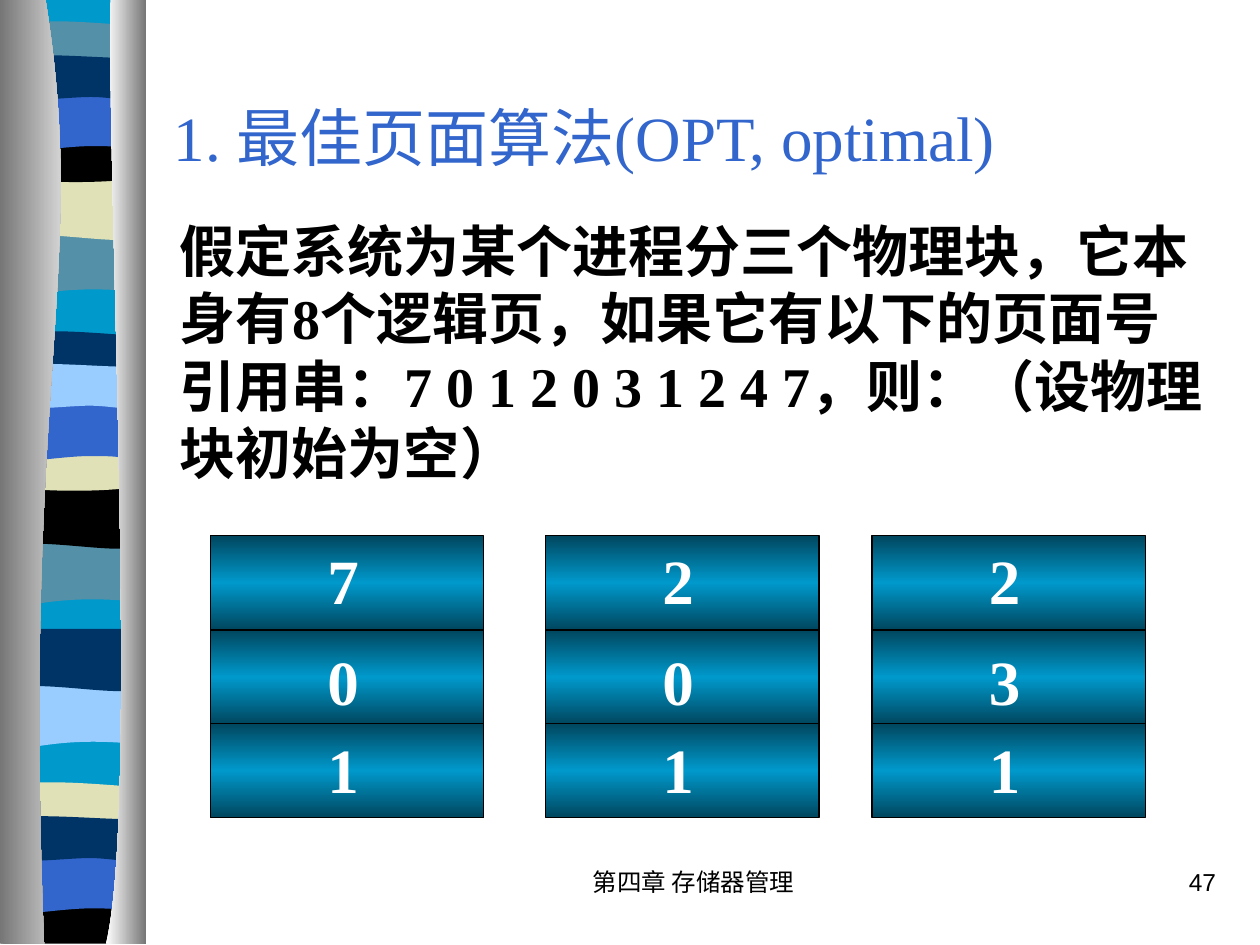
from copy import deepcopy

from lxml.etree import SubElement
from pptx import Presentation
from pptx.dml.color import RGBColor
from pptx.enum.shapes import MSO_SHAPE as SHAPE
from pptx.enum.text import MSO_ANCHOR as ANCHOR, PP_ALIGN as ALIGN
from pptx.oxml.ns import qn
from pptx.util import Inches, Pt

COLORS = {
    "cyan": "0099CC", "teal": "5490A8", "cream": "E1E1B7", "black": "000000",
    "blue": "3366CC", "navy": "003366", "sky": "99CCFF", "white": "FFFFFF",
    "gray": "767676", "deep": "00465E",
}
SERIF = "Times New Roman"
BAND_W = 1.08

# Outlines of the stripes, relative to their left end and top line.
# A segment of one point is a line, a segment of three a Bézier curve.
FLAT_TOP = [[(0, 0)], [(BAND_W, 0)]]
WAVES = [
    [[(BAND_W, 0.47)], [(0.33, 0.39), (0.18, 0.55), (0, 0.47)], *FLAT_TOP],
    [[(BAND_W, 0.47)], [(0.9, 0.55), (0.33, 0.41), (0, 0.47)], *FLAT_TOP],
    [[(BAND_W, 0.24)], [(0.9, 0.28), (0.18, 0.28), (0, 0.24)], [(0, 0)],
     [(0.06, -0.05), (0.23, -0.04), (0.41, -0.04)],
     [(0.59, -0.04), (0.94, -0.01), (BAND_W, 0)]],
    [[(BAND_W, 0.32)], [(0.9, 0.38), (0.18, 0.38), (0, 0.32)], [(0, 0)],
     [(0.66, 0.05), (0.85, 0), (BAND_W, 0)]],
    [[(BAND_W, 0.47)], [(0.91, 0.42), (0.84, 0.42), (0.66, 0.42)],
     [(0.48, 0.42), (0.16, 0.47), (0, 0.47)], *FLAT_TOP],
    [[(BAND_W, 0.31)], [(1.01, 0.36), (0.84, 0.31), (0.66, 0.31)],
     [(0.48, 0.31), (0.11, 0.36), (0, 0.31)], [(0, 0)],
     [(0.15, -0.05), (0.73, 0), (0.91, 0)], [(1.09, 0), (1.04, 0), (BAND_W, 0)]],
]
# The lowest stripe ends flat at the foot of the slide
FOOT_WAVE = [[(BAND_W, 0.37)], [(0.01, 0.37)], [(0, 0)],
             [(0.66, 0.05), (0.85, 0), (BAND_W, 0)]]
# Each set uses its waves in order: (left, top, colour)
STRIPE_SETS = [
    (WAVES, [(0.06, 1.85, "teal"), (0.06, 1.41, "cream"), (0.06, 0.21, "teal"),
             (0.06, 1.08, "black"), (0.06, 0.74, "blue"), (0.06, 0.46, "navy")]),
    (WAVES, [(0.05, 4.31, "teal"), (0.05, 3.86, "black"), (0.05, 2.67, "navy"),
             (0.05, 3.53, "cream"), (0.05, 3.2, "blue"), (0.05, 2.91, "sky")]),
    (WAVES[:3] + [FOOT_WAVE] + WAVES[4:],
     [(0.06, 5.44, "sky"), (0.06, 4.99, "navy"), (0.05, 6.25, "cream"),
      (0.05, 7.12, "black"), (0.05, 6.79, "blue"), (0.05, 6.5, "navy")]),
]
LEFT_CURTAIN = [[(0.71, 2.16), (0.17, 2.96), (0.35, 7.49)], [(0, 7.49)], [(0, -0.01)]]
RIGHT_CURTAIN = [[(0.84, 1.25), (1.11, 6.46), (0.84, 7.49)], [(1.16, 7.49)], [(1.16, 0)]]

# Page frames: left edge and the pages they hold
FRAMES = [(1.67, "701"), (4.33, "201"), (6.92, "231")]
CELL_TOPS = [4.25, 5, 5.74]
DIGIT_TOPS = [4.25, 5.05, 5.75]


def rgb(name):
    return RGBColor.from_string(COLORS[name])


def set_gradient(sp, names, angle):
    """Spread the named colours evenly over a linear gradient."""
    sp.fill.gradient()
    sp.fill.gradient_angle = angle
    stop_list = sp.element.spPr.find(qn("a:gradFill")).find(qn("a:gsLst"))
    while len(stop_list) < len(names):
        stop_list.append(deepcopy(stop_list[0]))
    for i, (stop, name) in enumerate(zip(sp.fill.gradient_stops, names)):
        stop.position = i / (len(names) - 1)
        stop.color.rgb = rgb(name)


def bend(sp, segments):
    """Turn each run of three lines that stands for a curve into that curve."""
    lines = iter(list(sp.element.spPr.iter(qn("a:lnTo"))))
    for segment in segments:
        parts = [next(lines) for _ in segment]
        if len(parts) == 3:
            curve = SubElement(parts[0].getparent(), qn("a:cubicBezTo"))
            parts[0].addprevious(curve)
            for part in parts:
                curve.append(part[0])
                part.getparent().remove(part)


def add_outline(shapes, start, segments, colors, left=0, top=0):
    points = [start] + [point for segment in segments for point in segment]
    emu = [(Inches(left + x), Inches(top + y)) for x, y in points]
    builder = shapes.build_freeform(*emu[0])
    builder.add_line_segments(emu[1:])
    sp = builder.convert_to_shape()
    bend(sp, segments)
    sp.shadow.inherit = False
    sp.line.fill.background()
    if len(colors) == 1:
        sp.fill.solid()
        sp.fill.fore_color.rgb = rgb(colors[0])
    else:
        set_gradient(sp, colors, 0)


def add_text(shapes, box, text, size, color, font=SERIF, bold=False,
             align=ALIGN.LEFT, anchor=ANCHOR.TOP):
    tf = shapes.add_textbox(*map(Inches, box)).text_frame
    tf.word_wrap = True
    tf.vertical_anchor = anchor
    p = tf.paragraphs[0]
    p.text = text
    p.alignment = align
    p.font.name = font
    p.font.size = Pt(size)
    p.font.bold = bold
    p.font.color.rgb = rgb(color)


def add_frame(shapes, left, pages):
    for top in CELL_TOPS:
        sp = shapes.add_shape(SHAPE.RECTANGLE, Inches(left), Inches(top),
                              Inches(2.17), Inches(0.75))
        sp.shadow.inherit = False
        set_gradient(sp, ["deep", "cyan", "deep"], 90)
        sp.line.color.rgb = rgb("black")
        sp.line.width = Pt(0.75)
    for page, top in zip(pages, DIGIT_TOPS):
        add_text(shapes, (left + 0.83, top, 0.67, 0.7), page, 36, "white", bold=True)


def add_side_decoration(shapes):
    add_outline(shapes, (BAND_W, 0), [[(BAND_W, 7.48)], [(0, 7.48)], *FLAT_TOP[:1]],
                ["cyan"], left=0.06, top=-0.01)
    for waves, stripes in STRIPE_SETS:
        for wave, (left, top, color) in zip(waves, stripes):
            add_outline(shapes, (BAND_W, 0), wave, [color], left, top)
    add_outline(shapes, (0.36, -0.01), LEFT_CURTAIN, ["gray", "white"])
    add_outline(shapes, (0.88, -0.01), RIGHT_CURTAIN, ["white", "gray"])


def main():
    prs = Presentation()
    prs.slide_width, prs.slide_height = Inches(10), Inches(7.5)
    s = prs.slides.add_slide(prs.slide_layouts[6])

    # Striped band between two curtains
    add_side_decoration(s.shapes.add_group_shape().shapes)

    # Title and problem statement
    add_text(s.shapes, (1.28, 0.5, 8.5, 1.17), "1. 最佳页面算法(OPT, optimal)", 36, "blue",
             anchor=ANCHOR.MIDDLE)
    add_text(s.shapes, (1.33, 1.67, 8.4, 2.32),
             "假定系统为某个进程分三个物理块，它本身有8个逻辑页，如果它有以下的页面号"
             "引用串：7 0 1 2 0 3 1 2 4 7，则：（设物理块初始为空）", 32, "black", bold=True)

    # Memory states
    for left, pages in FRAMES:
        add_frame(s.shapes.add_group_shape().shapes, left, pages)

    # Footer and page number
    add_text(s.shapes, (3.92, 6.83, 3.17, 0.5), "第四章 存储器管理", 14, "black", "Arial",
             align=ALIGN.CENTER)
    add_text(s.shapes, (7.67, 6.83, 2.08, 0.5), "47", 14, "black", "Arial", align=ALIGN.RIGHT)

    prs.save("out.pptx")


if __name__ == "__main__":
    main()
